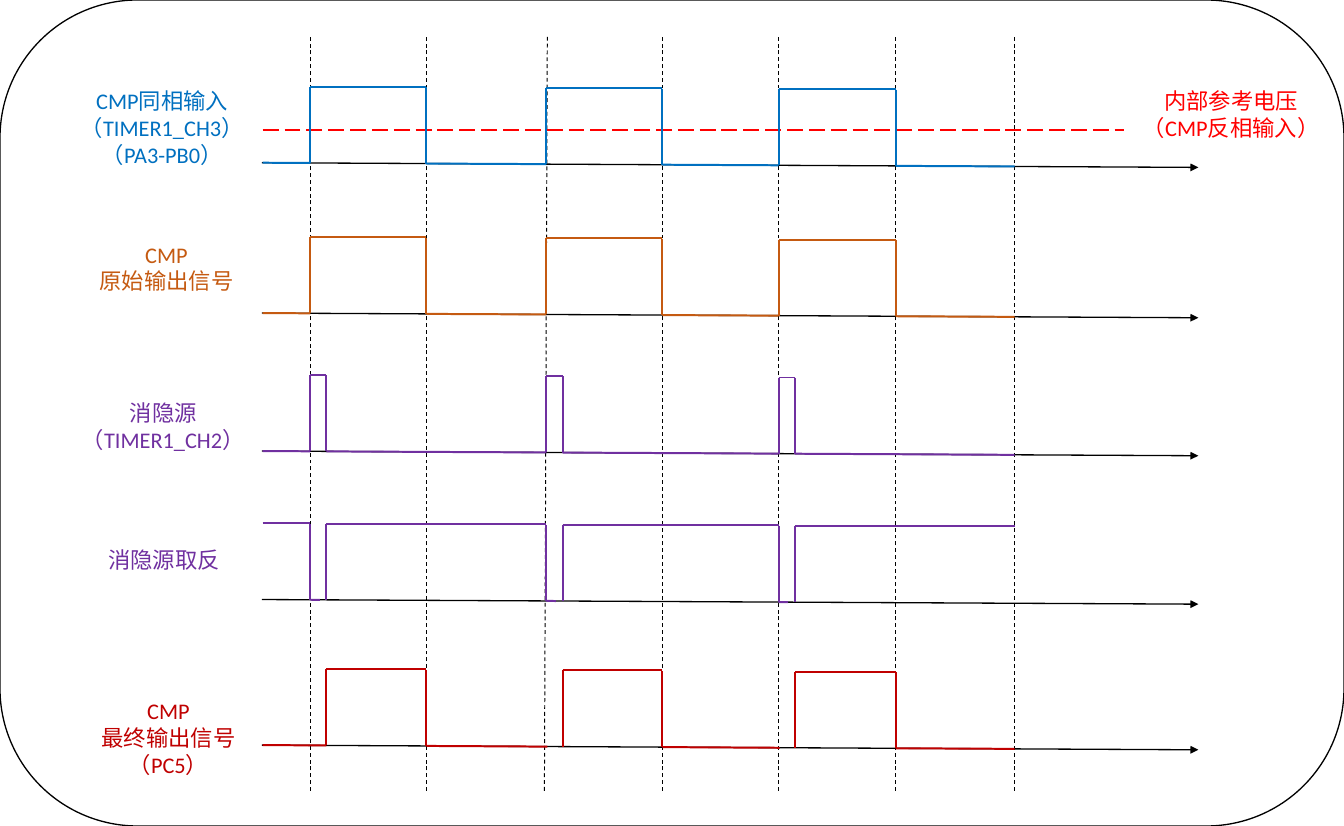
from pptx import Presentation
from pptx.dml.color import RGBColor
from pptx.enum.dml import MSO_LINE_DASH_STYLE as Dash
from pptx.enum.shapes import MSO_CONNECTOR as Conn, MSO_SHAPE as Shape
from pptx.enum.text import MSO_AUTO_SIZE as Fit, PP_ALIGN as Align
from pptx.oxml.xmlchemy import OxmlElement as Elem
from pptx.util import Inches, Pt

BLACK = RGBColor(0x00, 0x00, 0x00)
WHITE = RGBColor(0xFF, 0xFF, 0xFF)
RED = RGBColor(0xFF, 0x00, 0x00)
BLUE = RGBColor(0x00, 0x70, 0xC0)
ORANGE = RGBColor(0xC5, 0x5A, 0x11)
PURPLE = RGBColor(0x70, 0x30, 0xA0)
CRIMSON = RGBColor(0xC0, 0x00, 0x00)

WIDTH, HEIGHT = 14.12, 8.68
LEFT, RIGHT, START, END = 2.75, 12.59, 2.76, 10.66
SLOPE, SWING, DELAY = 0.005, 0.8, 0.17
RISES = [3.26, 5.74, 8.18]
FALLS = [4.48, 6.96, 9.41]
BLANKS = [rise + DELAY for rise in RISES]


def weave(first, second):
    return [x for pair in zip(first, second) for x in pair]


class Diagram:
    font = "Calibri"
    size = 16.9

    def __init__(self, slide):
        self.shapes = slide.shapes

    def frame(self, width, height):
        box = self.shapes.add_shape(
            Shape.ROUNDED_RECTANGLE, 0, 0, Inches(width), Inches(height))
        box.shadow.inherit = False
        box.fill.solid()
        box.fill.fore_color.rgb = WHITE
        box.line.color.rgb = BLACK
        box.line.width = Pt(1)

    def line(self, x1, y1, x2, y2, color, width=1.5, dash=None, arrow=False):
        link = self.shapes.add_connector(
            Conn.STRAIGHT, Inches(x1), Inches(y1), Inches(x2), Inches(y2))
        link.line.color.rgb = color
        link.line.width = Pt(width)
        if dash:
            link.line.dash_style = dash
        props = link._element.spPr
        if arrow:
            head = Elem("a:tailEnd")
            head.set("type", "triangle")
            props.get_or_add_ln().append(head)
        props.append(Elem("a:effectLst"))

    def axis(self, base):
        drop = SLOPE * (RIGHT - LEFT)
        self.line(LEFT, base, RIGHT, base + drop, BLACK, 1, arrow=True)

    def wave(self, base, edges, color, high=False, cut=0):
        stops = [START, *edges, END]
        last = len(edges)
        for i, (x1, x2) in enumerate(zip(stops, stops[1:])):
            y1, y2 = (base + SLOPE * (x - LEFT) for x in (x1, x2))
            if i:
                self.line(x1, y1 - SWING, x1, y1, color)
            if high:
                self.line(x1, y1 - SWING, x2, y1 - SWING, color)
            else:
                trim = cut if 0 < i < last else 0
                self.line(x1, y1, x2 - trim, y2, color)
            high = not high

    def label(self, left, top, width, height, color, *rows):
        box = self.shapes.add_textbox(
            Inches(left), Inches(top), Inches(width), Inches(height))
        frame = box.text_frame
        frame.word_wrap = True
        frame.auto_size = Fit.SHAPE_TO_FIT_TEXT
        for i, row in enumerate(rows):
            para = frame.add_paragraph() if i else frame.paragraphs[0]
            para.alignment = Align.CENTER
            run = para.add_run()
            run.text = row
            run.font.name = self.font
            run.font.size = Pt(self.size)
            run.font.color.rgb = color


def main():
    deck = Presentation()
    deck.slide_width, deck.slide_height = Inches(WIDTH), Inches(HEIGHT)
    chart = Diagram(deck.slides.add_slide(deck.slide_layouts[6]))
    chart.frame(WIDTH, HEIGHT)

    feet = [*weave(RISES, FALLS), END]
    tops = feet.copy()
    feet[2], tops[2] = 5.72, 5.75
    for foot, top in zip(feet, tops):
        chart.line(foot, 8.31, top, 0.37, BLACK, 0.75, Dash.DASH)
    chart.line(START, 1.37, 11.81, 1.37, RED, dash=Dash.LONG_DASH)

    pulses = weave(RISES, FALLS)
    blanks = weave(RISES, BLANKS)
    final = weave(BLANKS, FALLS)
    signals = [
        (1.71, pulses, BLUE, False, 0),
        (3.29, pulses, ORANGE, False, 0),
        (4.74, blanks, PURPLE, False, 0),
        (6.3, blanks, PURPLE, True, 0.07),
        (7.83, final, CRIMSON, False, 0.16),
    ]
    for base, edges, color, high, cut in signals:
        chart.axis(base)
        chart.wave(base, edges, color, high, cut)

    chart.label(0.73, 0.87, 1.95, 0.96, BLUE,
                "CMP同相输入", "（TIMER1_CH3）", "（PA3-PB0）")
    chart.label(11.87, 0.87, 2.13, 0.96, RED,
                "内部参考电压", "（CMP反相输入）")
    chart.label(0.93, 2.48, 1.64, 0.68, ORANGE, "CMP", "原始输出信号")
    chart.label(0.74, 4.15, 1.95, 0.68, PURPLE, "消隐源", "（TIMER1_CH2）")
    chart.label(1.02, 5.69, 1.41, 0.39, PURPLE, "消隐源取反")
    chart.label(0.95, 7.28, 1.64, 0.96, CRIMSON,
                "CMP", "最终输出信号", "（PC5）")
    deck.save("out.pptx")


if __name__ == "__main__":
    main()
